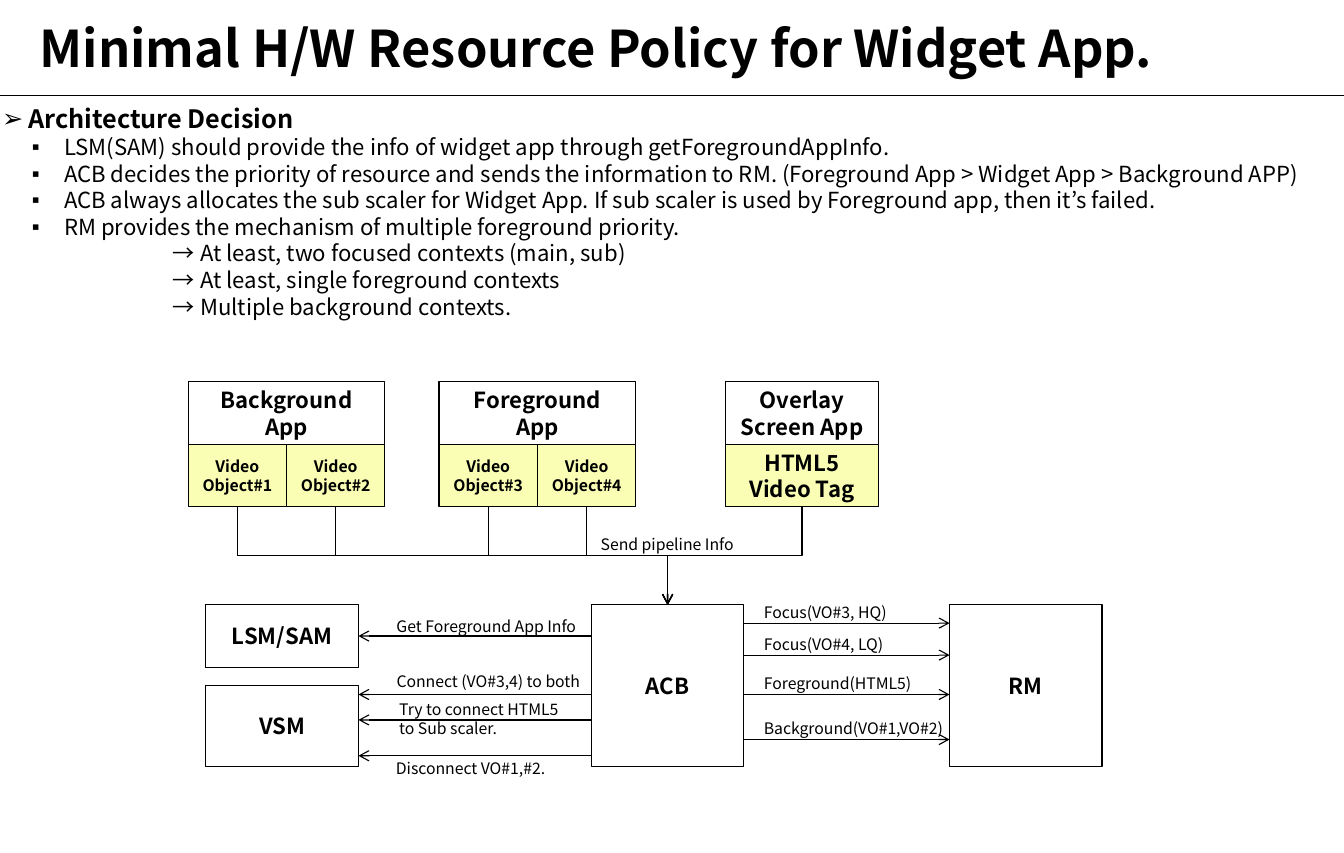
from lxml import etree
from pptx import Presentation
from pptx import util as u
from pptx.dml.color import RGBColor
from pptx.enum import shapes, text
from pptx.oxml.ns import qn

BLACK = RGBColor(0x00, 0x00, 0x00)
WHITE = RGBColor(0xFF, 0xFF, 0xFF)
YELLOW = RGBColor(0xF9, 0xFE, 0xB4)
FONT = "Noto Sans CJK KR"
CENTER = text.PP_ALIGN.CENTER
MIDDLE = text.MSO_ANCHOR.MIDDLE
TOP = text.MSO_ANCHOR.TOP
STRAIGHT = shapes.MSO_CONNECTOR.STRAIGHT

prs = Presentation()
prs.slide_width = u.Cm(30)
prs.slide_height = u.Cm(19.05)
s = prs.slides.add_slide(prs.slide_layouts[1])

# All lengths below are percent of the slide's width (X) or height (Y)
X, Y = prs.slide_width / 100, prs.slide_height / 100


def write(sp, lines, size, bold=False, align=text.PP_ALIGN.LEFT, anchor=TOP):
    """Fill a shape with one paragraph per line."""
    tf = sp.text_frame
    frame_format = {"word_wrap": True, "auto_size": text.MSO_AUTO_SIZE.NONE,
                    "vertical_anchor": anchor}
    for name, value in frame_format.items():
        setattr(tf, name, value)
    tf.text = lines
    for p in tf.paragraphs:
        p.alignment, p.space_before = align, u.Pt(0)
        font = p.runs[0].font
        for name, value in {"name": FONT, "size": u.Pt(size), "bold": bold}.items():
            setattr(font, name, value)
        font.color.rgb = BLACK


def style_line(c, arrow=True):
    c.line.color.rgb, c.line.width = BLACK, u.Pt(0.75)
    if arrow:
        etree.SubElement(c.line._get_or_add_ln(), qn("a:tailEnd"), type="arrow")
    etree.SubElement(c._element.spPr, qn("a:effectLst"))


# Title, rule and decision list
title, body = s.shapes.title, s.placeholders[1]
for sp, (x, y, w, h) in ((title, (2.1, 1.25, 86.7, 8.53)),
                         (body, (-0.68, 11.45, 101.35, 26.93))):
    sp.left, sp.top, sp.width, sp.height = int(x * X), int(y * Y), int(w * X), int(h * Y)
write(title, "Minimal H/W Resource Policy for Widget App.", 32, True, anchor=MIDDLE)
style_line(s.shapes.add_connector(STRAIGHT, 0, int(11.2 * Y), prs.slide_width, int(11.2 * Y)),
           arrow=False)

# Bullet, left margin and hanging indent of each kind of list line
HEAD, POINT, DETAIL = ("➢", 1.95, -1.95), ("▪", 4.6, -2.4), (None, 12.7, 0)
decisions = [
    (HEAD, "Architecture Decision"),
    (POINT, "LSM(SAM) should provide the info of widget app through getForegroundAppInfo."),
    (POINT, "ACB decides the priority of resource and sends the information to RM. "
            "(Foreground App > Widget App > Background APP)"),
    (POINT, "ACB always allocates the sub scaler for Widget App. "
            "If sub scaler is used by Foreground app, then it’s failed."),
    (POINT, "RM provides the mechanism of multiple foreground priority."),
    (DETAIL, "→ At least, two focused contexts (main, sub)"),
    (DETAIL, "→ At least, single foreground contexts"),
    (DETAIL, "→ Multiple background contexts."),
]
write(body, "\n".join(line for _, line in decisions), 14)
for p, (kind, _) in zip(body.text_frame.paragraphs, decisions):
    bullet, margin, indent = kind
    if kind == HEAD:
        p.runs[0].font.size, p.runs[0].font.bold = u.Pt(16), True
    else:
        p.level = 1
    pPr = p._p.get_or_add_pPr()
    pPr.set("marL", str(int(margin * X)))
    pPr.set("indent", str(int(indent * X)))
    if bullet:
        etree.SubElement(pPr, qn("a:buChar"), char=bullet)
    else:
        etree.SubElement(pPr, qn("a:buNone"))

# Boxes: apps on top of their video objects, modules below
APP_TOP, MODULE_TOP, ROW = 44.75, 70.9, 7.33
VIDEO_TOP = APP_TOP + ROW
APP_W, VIDEO_W, MODULE_W = 14.64, 7.32, 11.35
MODULE_X, ACB_X, RM_X = 15.32, 44, 70.65
boxes = [
    ("Overlay Screen App", 54, APP_TOP, MODULE_W, ROW, WHITE, 14),
    ("HTML5\nVideo Tag", 54, VIDEO_TOP, MODULE_W, ROW, YELLOW, 14),
    ("LSM/SAM", MODULE_X, MODULE_TOP, MODULE_W, ROW, WHITE, 14),
    ("VSM", MODULE_X, 80.4, MODULE_W, 9.43, WHITE, 14),
    ("ACB", ACB_X, MODULE_TOP, MODULE_W, 18.93, WHITE, 14),
    ("RM", RM_X, MODULE_TOP, MODULE_W, 18.93, WHITE, 14),
]
for app, x, first in (("Background", 14, 1), ("Foreground", 32.67, 3)):
    boxes.append((f"{app}\nApp", x, APP_TOP, APP_W, ROW, WHITE, 14))
    for i in range(2):
        boxes.append((f"Video Object#{first + i}", x + i * VIDEO_W, VIDEO_TOP,
                      VIDEO_W, ROW, YELLOW, 10))

placed = {}
for label, x, y, w, h, fill, size in boxes:
    sp = s.shapes.add_shape(shapes.MSO_SHAPE.RECTANGLE, int(x * X), int(y * Y),
                            int(w * X), int(h * Y))
    sp.shadow.inherit = False
    sp.fill.solid()
    sp.fill.fore_color.rgb = fill
    sp.line.color.rgb, sp.line.width = BLACK, u.Pt(0.75)
    write(sp, label, size, True, CENTER, MIDDLE)
    placed[label] = sp

# Elbow arrows from every video source down to ACB
acb = placed["ACB"]
end_x, end_y = acb.left + acb.width // 2, acb.top
for source in [sp for label, sp in placed.items() if "Video" in label]:
    x, y = source.left + source.width // 2, source.top + source.height
    c = s.shapes.add_connector(shapes.MSO_CONNECTOR.ELBOW, x, y, end_x, end_y)
    c.begin_connect(source, 2)
    c.end_connect(acb, 0)
    # A quarter turn about the centre makes the elbow leave downwards
    drop, run = end_y - y, abs(end_x - x)
    c.left, c.top = (x + end_x - drop) // 2, (y + end_y - run) // 2
    c.width, c.height = drop, run
    xfrm = c._element.spPr.xfrm
    xfrm.set("rot", str((270 if x < end_x else 90) * 60000))
    xfrm.set("flipH", "1" if x < end_x else "0")
    style_line(c)

# Straight arrows out of ACB
calls = [(73.05, "Focus(VO#3, HQ)"), (76.8, "Focus(VO#4, LQ)"),
         (81.42, "Foreground(HTML5)"), (86.7, "Background(VO#1,VO#2)")]
LSM_Y = MODULE_TOP + ROW / 2
arrows = [(ACB_X, MODULE_X + MODULE_W, y) for y in (LSM_Y, 81.42, 84.4, 88.6)]
arrows += [(ACB_X + MODULE_W, RM_X, y) for y, _ in calls]
for x1, x2, y in arrows:
    c = s.shapes.add_connector(STRAIGHT, int(x1 * X), int(y * Y), int(x2 * X), int(y * Y))
    if y == LSM_Y:
        c.end_connect(placed["LSM/SAM"], 3)
    style_line(c)

# Arrow labels
labels = [
    ("Send pipeline Info", 43.86, 62, 12.79),
    ("Get Foreground App Info", 28.67, 71.6, 16),
    ("Connect (VO#3,4) to both", 28.67, 78.13, 16.17),
    ("Try to connect HTML5 to Sub scaler.", 28.87, 81.4, 14.65),
    ("Disconnect VO#1,#2.", 28.62, 88.35, 14.65),
]
labels += [(label, 56, y - 3.1, 15.33) for y, label in calls]
for label, x, y, w in labels:
    h = 5.87 if label.startswith("Try") else 3.6
    write(s.shapes.add_textbox(int(x * X), int(y * Y), int(w * X), int(h * Y)), label, 10)

prs.save("out.pptx")
